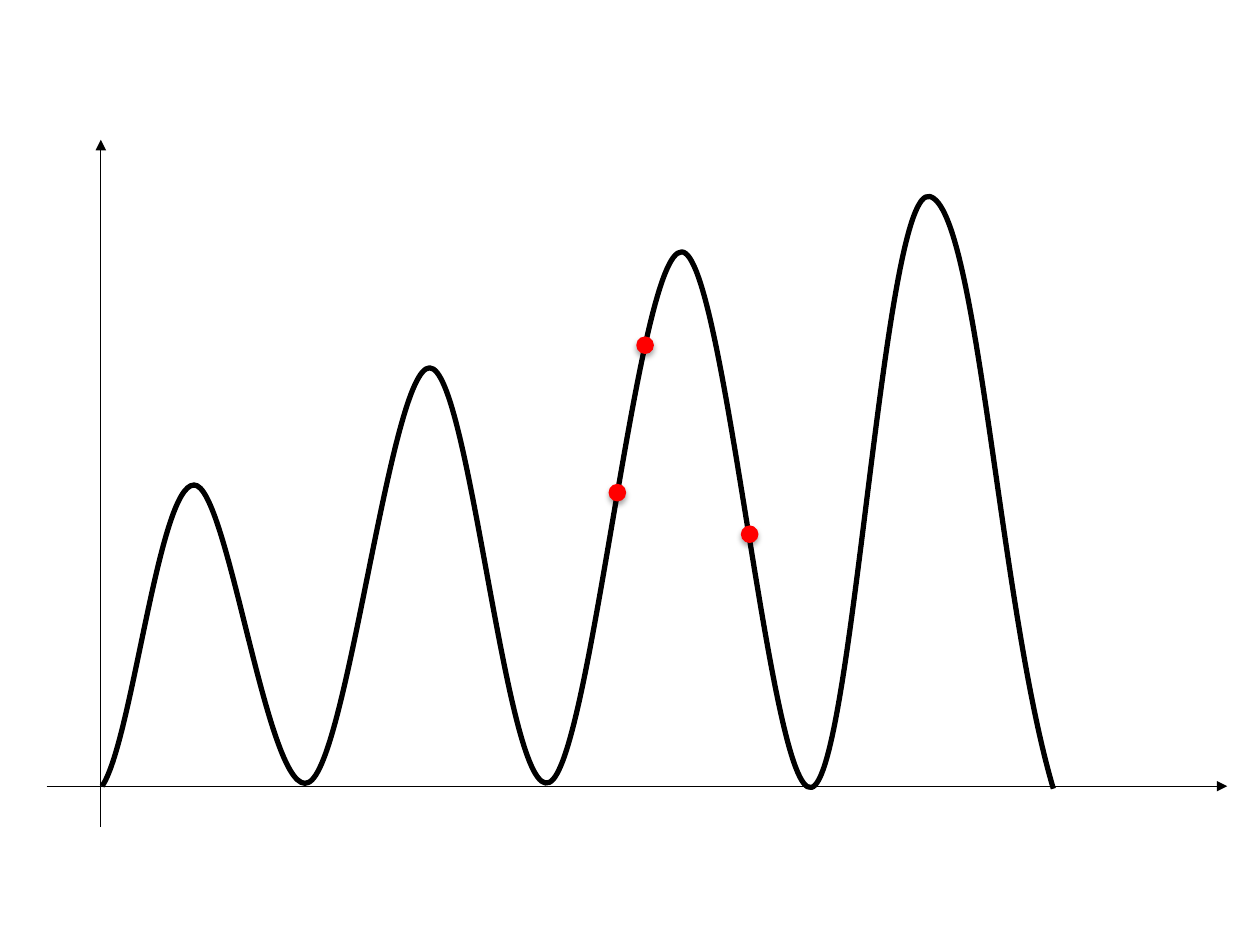
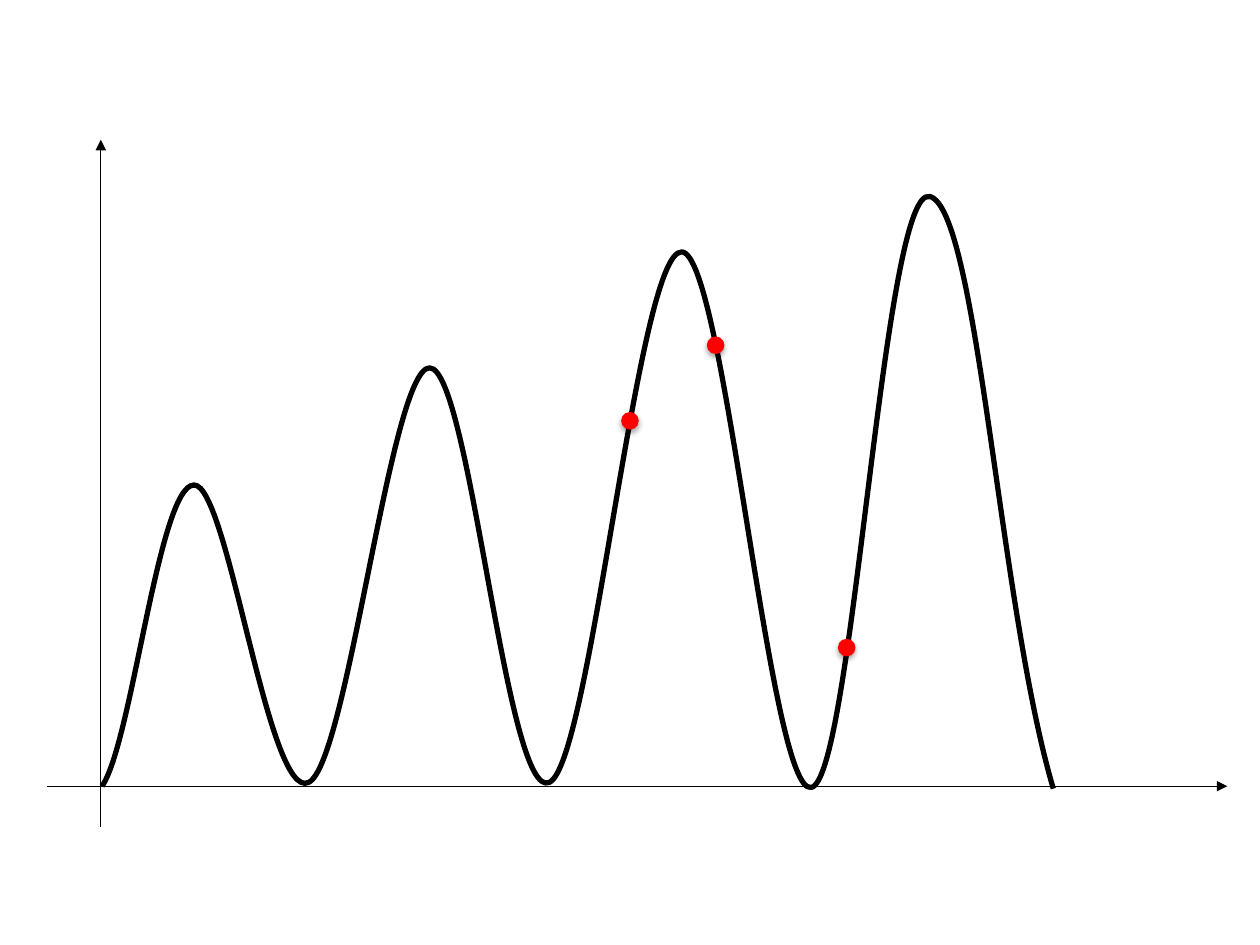
from lxml import etree
from pptx import Presentation
from pptx.dml.color import RGBColor
from pptx.enum.shapes import MSO_CONNECTOR, MSO_SHAPE
from pptx.oxml import parse_xml
from pptx.oxml.ns import nsdecls, qn
from pptx.util import Inches, Pt

BLACK = RGBColor(0x00, 0x00, 0x00)
RED = RGBColor(0xFF, 0x00, 0x00)
WHITE = RGBColor(0xFF, 0xFF, 0xFF)

DOT_SIZE = 0.14

# Each segment: two control points and an end point, in inches
WAVE_START = (0.81, 6.24)
WAVE_SEGMENTS = [
    ((1.05, 5.89), (1.26, 3.85), (1.54, 3.85)),
    ((1.81, 3.84), (2.13, 6.37), (2.45, 6.21)),
    ((2.76, 6.06), (3.10, 2.92), (3.41, 2.92)),
    ((3.73, 2.92), (4.02, 6.37), (4.36, 6.21)),
    ((4.69, 6.06), (5.06, 1.99), (5.41, 2.00)),
    ((5.75, 2.00), (6.11, 6.33), (6.44, 6.25)),
    ((6.77, 6.18), (7.01, 1.46), (7.38, 1.56)),
    ((7.76, 1.66), (7.93, 4.81), (8.36, 6.26)),
]
AXES = [(0.8, 6.56, 0.8, 1.11), (0.37, 6.24, 9.74, 6.24)]

# Left and top of the dots on each slide
DOTS_BY_SLIDE = [
    [(5.05, 2.67), (5.88, 4.17), (4.83, 3.84)],
    [(5.61, 2.67), (6.65, 5.07), (4.93, 3.27)],
]

DOT_SHADOW = (
    f'<a:outerShdw {nsdecls("a")} blurRad="{Pt(3.1)}" dist="{Pt(1.8)}" '
    'dir="5400000" rotWithShape="0">'
    f'<a:srgbClr val="{BLACK}"><a:alpha val="35000"/></a:srgbClr></a:outerShdw>'
)


def bend_segments(shape, segments):
    """Turn the straight segments of a freeform into cubic curves."""
    straight_lines = list(shape.element.spPr.iter(qn("a:lnTo")))
    for straight, segment in zip(straight_lines, segments):
        curve = etree.Element(qn("a:cubicBezTo"))
        for x, y in segment:
            etree.SubElement(curve, qn("a:pt"),
                             x=str(Inches(x) - shape.left), y=str(Inches(y) - shape.top))
        straight.getparent().replace(straight, curve)


deck = Presentation()
deck.slide_width = Inches(10)
deck.slide_height = Inches(7.5)

for dots in DOTS_BY_SLIDE:
    page = deck.slides.add_slide(deck.slide_layouts[6])
    page.background.fill.solid()
    page.background.fill.fore_color.rgb = WHITE

    builder = page.shapes.build_freeform(*(Inches(v) for v in WAVE_START))
    builder.add_line_segments(
        [(Inches(x), Inches(y)) for _, _, (x, y) in WAVE_SEGMENTS], close=False)
    wave = builder.convert_to_shape()
    bend_segments(wave, WAVE_SEGMENTS)
    wave.shadow.inherit = False
    wave.fill.background()
    wave.line.color.rgb = BLACK
    wave.line.width = Pt(3)

    axes = page.shapes.add_group_shape()
    for ends in AXES:
        axis_line = axes.shapes.add_connector(
            MSO_CONNECTOR.STRAIGHT, *(Inches(v) for v in ends))
        axis_line.line.color.rgb = BLACK
        axis_line.line.width = Pt(0.75)
        properties = axis_line.element.spPr
        etree.SubElement(properties.find(qn("a:ln")), qn("a:tailEnd"), type="triangle")
        etree.SubElement(properties, qn("a:effectLst"))

    for left, top in dots:
        dot = page.shapes.add_shape(
            MSO_SHAPE.OVAL, *(Inches(v) for v in (left, top, DOT_SIZE, DOT_SIZE)))
        dot.fill.solid()
        dot.fill.fore_color.rgb = RED
        dot.line.fill.background()
        dot.shadow.inherit = False
        dot.element.spPr.find(qn("a:effectLst")).append(parse_xml(DOT_SHADOW))

deck.save("out.pptx")
